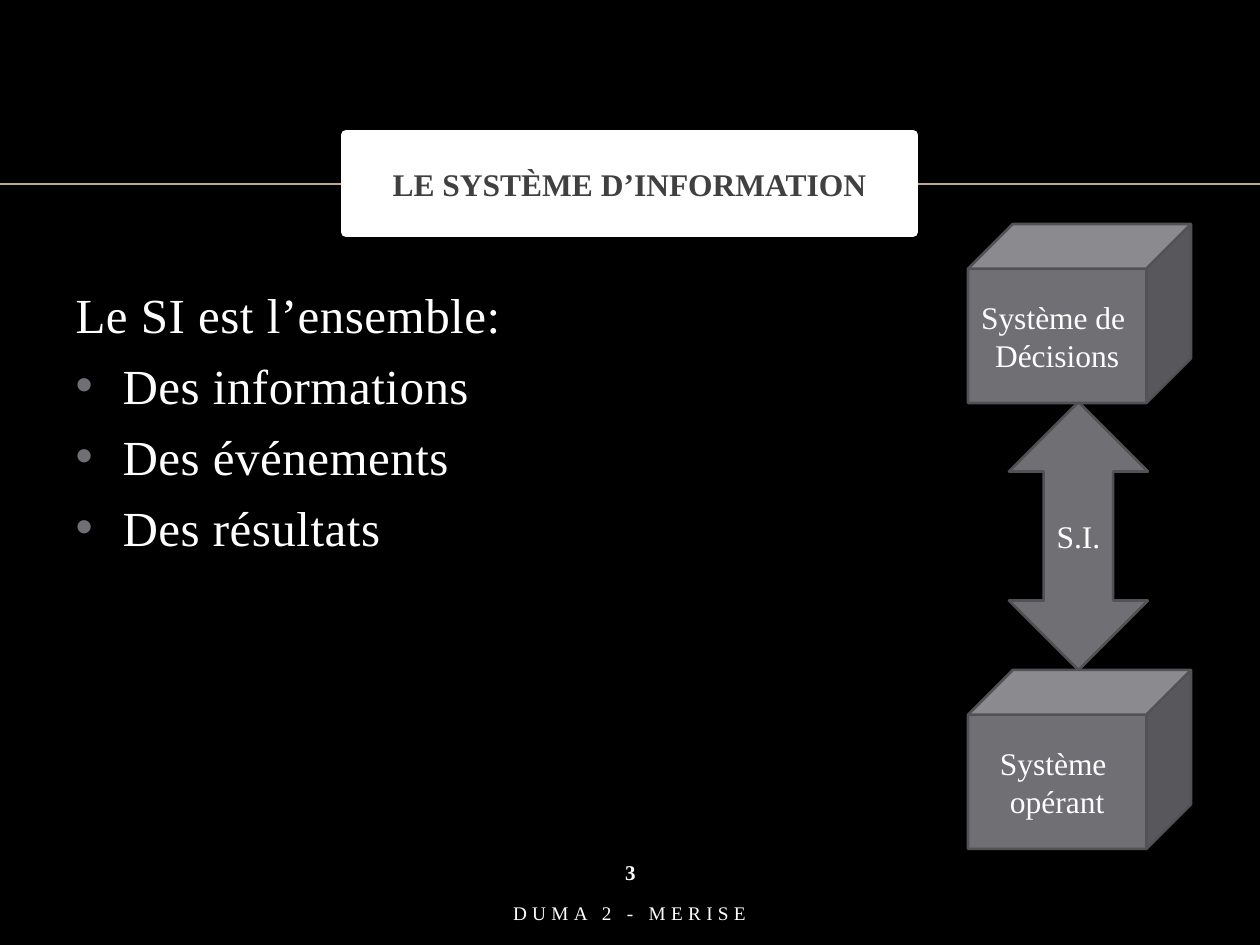
from pptx import Presentation
from pptx.dml.color import RGBColor
from pptx.enum.shapes import MSO_CONNECTOR, MSO_SHAPE
from pptx.enum.text import MSO_ANCHOR, MSO_AUTO_SIZE, PP_ALIGN
from pptx.oxml.ns import qn
from pptx.util import Pt
from lxml import etree

BLACK = RGBColor(0x00, 0x00, 0x00)
WHITE = RGBColor(0xFF, 0xFF, 0xFF)
DARK = RGBColor(0x40, 0x40, 0x40)
GREY = RGBColor(0x6F, 0x6F, 0x74)
EDGE = RGBColor(0x52, 0x52, 0x56)
GOLD = RGBColor(0xBB, 0xAA, 0x8A)

CENTER, LEFT = PP_ALIGN.CENTER, PP_ALIGN.LEFT
MIDDLE, TOP = MSO_ANCHOR.MIDDLE, MSO_ANCHOR.TOP
NO_FIT = MSO_AUTO_SIZE.NONE
STRAIGHT = MSO_CONNECTOR.STRAIGHT
CUBE, UP_DOWN = MSO_SHAPE.CUBE, MSO_SHAPE.UP_DOWN_ARROW

FONT = "Times New Roman"
SCALE = 914400 / 126


def px(n):
    return round(n * SCALE)


def write(tf, lines, size=18, color=WHITE, bold=False, align=CENTER,
          anchor=MIDDLE, spacing=0, before=0, after=0, inset=None):
    """Fill a text frame, one paragraph a line; spacing is in points."""
    tf.word_wrap = True
    tf.auto_size = NO_FIT
    tf.vertical_anchor = anchor
    if inset is not None:
        tf.margin_left = tf.margin_right = px(inset)
        tf.margin_top = tf.margin_bottom = px(inset)
    for i, line in enumerate(lines):
        p = tf.add_paragraph() if i else tf.paragraphs[0]
        p.alignment = align
        p.space_before, p.space_after = Pt(before), Pt(after)
        r = p.add_run()
        r.text = line
        r.font.name, r.font.size = FONT, Pt(size)
        r.font.bold = bold
        r.font.color.rgb = color
        if spacing:
            r.font._element.set("spc", str(round(spacing * 100)))


def set_bullet(p, char=None, indent=0, color=GREY):
    """Give a paragraph a hanging bullet, or none without a char."""
    pPr = p._p.get_or_add_pPr()
    pPr.set("marL", str(px(indent)))
    pPr.set("indent", str(-px(indent)))
    if char is None:
        etree.SubElement(pPr, qn("a:buNone"))
        return
    clr = etree.SubElement(pPr, qn("a:buClr"))
    etree.SubElement(clr, qn("a:srgbClr"), val=str(color))
    etree.SubElement(pPr, qn("a:buFont"), typeface="Arial")
    etree.SubElement(pPr, qn("a:buChar"), char=char)


class SlideBuilder:
    def __init__(self, prs, background):
        self.s = prs.slides.add_slide(prs.slide_layouts[1])
        self.s.background.fill.solid()
        self.s.background.fill.fore_color.rgb = background

    def place(self, sp, box):
        sp.left, sp.top, sp.width, sp.height = map(px, box)

    def paint(self, sp, fill, line, width):
        sp.fill.solid()
        sp.fill.fore_color.rgb = fill
        sp.line.color.rgb = line
        sp.line.width = Pt(width)

    def rule_behind(self, y, width):
        """Draw a horizontal line behind everything else."""
        c = self.s.shapes.add_connector(STRAIGHT, 0, px(y), px(width), px(y))
        c.line.color.rgb = GOLD
        c.line.width = Pt(1)
        etree.SubElement(c._element.spPr, qn("a:effectLst"))
        c._element.getparent().insert(2, c._element)

    def title(self, text, box):
        sp = self.s.shapes.title
        self.place(sp, box)
        self.paint(sp, WHITE, WHITE, 6)
        write(sp.text_frame, [text], color=DARK, bold=True, before=4)

    def body(self, intro, items, box):
        sp = self.s.placeholders[1]
        self.place(sp, box)
        tf = sp.text_frame
        write(tf, [intro, *items], size=28, align=LEFT, anchor=TOP,
              spacing=0.3, before=6, after=1)
        set_bullet(tf.paragraphs[0])
        for p in tf.paragraphs[1:]:
            set_bullet(p, "•", 47)

    def shape(self, kind, lines, box, **fmt):
        sp = self.s.shapes.add_shape(kind, *map(px, box))
        sp.shadow.inherit = False
        self.paint(sp, GREY, EDGE, 1.5)
        write(sp.text_frame, lines, **fmt)

    def text(self, line, box, **fmt):
        sp = self.s.shapes.add_textbox(*map(px, box))
        write(sp.text_frame, [line], **fmt)


def main():
    prs = Presentation()
    prs.slide_width, prs.slide_height = px(1260), px(945)
    b = SlideBuilder(prs, BLACK)

    b.rule_behind(184, 1260)
    b.title("LE SYSTÈME D’INFORMATION", (346, 135, 567, 97))
    b.body("Le SI est l’ensemble:",
           ["Des informations", "Des événements", "Des résultats"],
           (63, 278, 1134, 562))

    b.shape(UP_DOWN, ["S.I."], (1009, 402, 139, 268), inset=0)
    cubes = [(224, ["Système de ", "Décisions"]),
             (670, ["Système ", "opérant"])]
    for top, lines in cubes:
        b.shape(CUBE, lines, (968, top, 223, 179))

    b.text("DUMA 2 - MERISE", (199, 893, 861, 40), size=11, spacing=3)
    b.text("3", (557, 851, 147, 42), size=12, bold=True, inset=0)
    prs.save("out.pptx")


if __name__ == "__main__":
    main()
